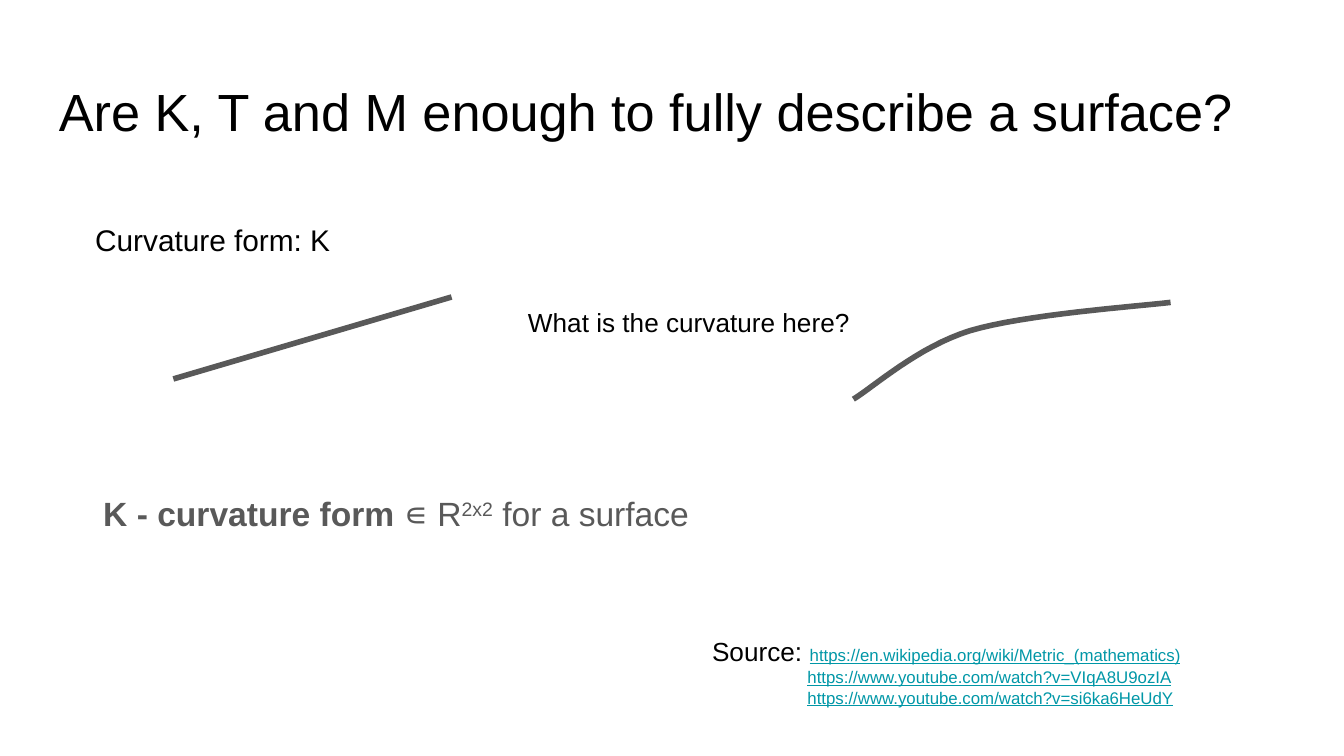
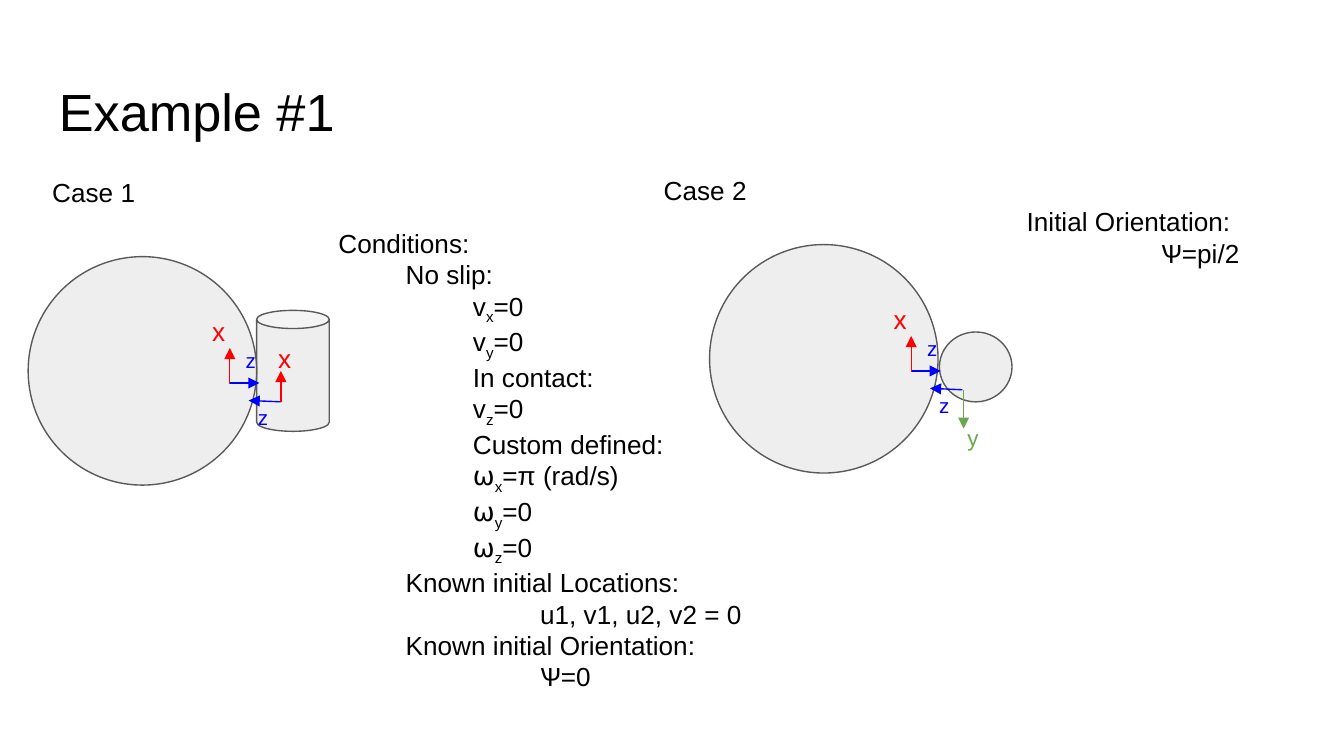
from lxml.etree import SubElement
from pptx import Presentation
from pptx.dml.color import RGBColor
from pptx.enum.shapes import MSO_CONNECTOR, MSO_SHAPE
from pptx.enum.text import MSO_ANCHOR
from pptx.oxml.ns import qn
from pptx.util import Pt

PX = 9144
SLIDE_WIDTH = 1000
FONT = "Arial"
INSET = 10
TAB = 50
CURVE_STEPS = 16
COLORS = {
    "black": "000000",
    "gray": "595959",
    "fill": "EEEEEE",
    "link": "0097A7",
    "red": "FF0000",
    "blue": "0000FF",
    "green": "6AA84F",
}

LINK = {"size": 9, "color": "link", "underline": True}
SOURCES = [
    (0, ["Source: ", ("https://en.wikipedia.org/wiki/Metric_(mathematics)", LINK)]),
    (71, [("https://www.youtube.com/watch?v=VIqA8U9ozIA", LINK)]),
    (71, [("https://www.youtube.com/watch?v=si6ka6HeUdY", LINK)]),
]
CURVATURE_FORM = [
    (0, [("K - curvature form ", {"bold": True}), "∊ R", ("2x2", {"baseline": 30}), " for a surface"]),
]
STRAIGHT = (129, 282, 336, 221)
CURVE_START = (635, 297)
CURVE = [
    ((650, 288), (683, 258), (722, 246)),
    ((762, 234), (846, 228), (871, 225)),
]


def component(symbol, axis, value):
    return [symbol, (axis, {"baseline": -25}), "=" + value]


CONDITIONS = [
    (0, ["Conditions:"]),
    (TAB, ["No slip:"]),
    (2 * TAB, component("v", "x", "0")),
    (2 * TAB, component("v", "y", "0")),
    (2 * TAB, ["In contact:"]),
    (2 * TAB, component("v", "z", "0")),
    (2 * TAB, ["Custom defined:"]),
    (2 * TAB, component("⍵", "x", "π (rad/s)")),
    (2 * TAB, component("⍵", "y", "0")),
    (2 * TAB, component("⍵", "z", "0")),
    (TAB, ["Known initial Locations:"]),
    (3 * TAB, ["u1, v1, u2, v2 = 0"]),
    (TAB, ["Known initial Orientation:"]),
    (3 * TAB, ["Ѱ=0"]),
]
ORIENTATION = [(TAB, ["Initial Orientation:"]), (3 * TAB, ["Ѱ=pi/2"])]

BALL = (21, 191, 170, 170)
FRAME_ARROWS = [
    ((171, 285, 193, 285), "blue"),
    ((171, 286, 171, 259), "red"),
    ((209, 299, 185, 298), "blue"),
]
FRAME_LABELS = [
    ("x", (148, 225, 31, 34), 14, "red"),
    ("z", (173, 250, 24, 34), 11, "blue"),
    ("z", (182, 292, 24, 34), 11, "blue"),
]
CASES = [
    {
        "title": ("Case 1", (29, 121, 376, 44)),
        "shift": (0, 0),
        "body": (MSO_SHAPE.CAN, (191, 231, 54, 90)),
        "arrow": ((209, 299, 209, 276), "red"),
        "label": ("x", (197, 245, 31, 34), 14, "red"),
    },
    {
        "title": ("Case 2", (484, 120, 376, 44)),
        "shift": (507, -9),
        "body": (MSO_SHAPE.OVAL, (699, 247, 54, 52)),
        "arrow": ((717, 290, 717, 319), "green"),
        "label": ("y", (710, 306, 31, 34), 12, "green"),
    },
]


def rgb(name):
    return RGBColor.from_string(COLORS[name])


def emu(values):
    return [v * PX for v in values]


def moved(box, shift):
    return (box[0] + shift[0], box[1] + shift[1], *box[2:])


def moved_line(ends, shift):
    return moved(ends[:2], shift) + moved(ends[2:], shift)


def add_text(s, content, box, size=14, color="black", spacing=None, top=INSET):
    tf = s.shapes.add_textbox(*emu(box)).text_frame
    tf.word_wrap = True
    tf.vertical_anchor = MSO_ANCHOR.TOP
    tf.margin_left = tf.margin_right = tf.margin_bottom = INSET * PX
    tf.margin_top = top * PX
    paragraphs = [(0, [content])] if isinstance(content, str) else content
    for i, (indent, runs) in enumerate(paragraphs):
        p = tf.paragraphs[0] if i == 0 else tf.add_paragraph()
        p._p.get_or_add_pPr().set("marL", str(indent * PX))
        if spacing:
            p.line_spacing = spacing
        for run in runs:
            text, fmt = (run, {}) if isinstance(run, str) else run
            r = p.add_run()
            r.text = text
            r.font.name = FONT
            r.font.size = Pt(fmt.get("size", size))
            r.font.color.rgb = rgb(fmt.get("color", color))
            r.font.bold = fmt.get("bold", False)
            r.font.underline = fmt.get("underline", False)
            if "baseline" in fmt:
                r._r.get_or_add_rPr().set("baseline", str(fmt["baseline"] * 1000))


def add_line(s, ends, color, width=0.75, arrow=True):
    c = s.shapes.add_connector(MSO_CONNECTOR.STRAIGHT, *emu(ends))
    c.line.color.rgb = rgb(color)
    c.line.width = Pt(width)
    if arrow:
        SubElement(c.line._get_or_add_ln(), qn("a:tailEnd"), type="triangle")
    SubElement(c._element.spPr, qn("a:effectLst"))


def add_body(s, kind, box):
    sp = s.shapes.add_shape(kind, *emu(box))
    sp.shadow.inherit = False
    sp.fill.solid()
    sp.fill.fore_color.rgb = rgb("fill")
    sp.line.color.rgb = rgb("gray")
    sp.line.width = Pt(0.75)


def bezier(a, b, c, d, t):
    u = 1 - t
    return tuple(
        round(PX * (u**3 * i + 3 * u * u * t * j + 3 * u * t * t * k + t**3 * m))
        for i, j, k, m in zip(a, b, c, d)
    )


def add_curve(s, start, segments):
    builder = s.shapes.build_freeform(*emu(start), scale=1.0)
    for b, c, d in segments:
        steps = range(1, CURVE_STEPS + 1)
        builder.add_line_segments([bezier(start, b, c, d, n / CURVE_STEPS) for n in steps], close=False)
        start = d
    sp = builder.convert_to_shape()
    sp.shadow.inherit = False
    sp.fill.background()
    sp.line.color.rgb = rgb("gray")
    sp.line.width = Pt(3)


def add_slide(prs, title):
    s = prs.slides.add_slide(prs.slide_layouts[6])
    add_text(s, title, (34, 49, 932, 63), size=28)
    return s


def build_curvature(prs):
    s = add_slide(prs, "Are K, T and M enough to fully describe a surface?")
    add_line(s, STRAIGHT, "gray", width=3, arrow=False)
    add_text(s, "What is the curvature here?", (383, 218, 321, 44))
    add_curve(s, CURVE_START, CURVE)
    add_text(s, SOURCES, (520, 463, 374, 89))
    add_text(s, "Curvature form: K", (61, 155, 302, 47), size=16)
    add_text(s, CURVATURE_FORM, (67, 352, 553, 55), size=18, color="gray", spacing=1.15)


def build_example(prs):
    s = add_slide(prs, "Example #1")
    add_text(s, CONDITIONS, (242, 159, 321, 305))
    add_text(s, ORIENTATION, (704, 119, 328, 120), top=34)
    for case in CASES:
        shift = case["shift"]
        add_text(s, *case["title"])
        add_body(s, *case["body"])
        add_body(s, MSO_SHAPE.OVAL, moved(BALL, shift))
        for ends, color in FRAME_ARROWS:
            add_line(s, moved_line(ends, shift), color)
        add_line(s, *case["arrow"])
        for text, box, size, color in FRAME_LABELS:
            add_text(s, text, moved(box, shift), size, color)
        add_text(s, *case["label"])


def main():
    prs = Presentation()
    prs.slide_width = SLIDE_WIDTH * PX
    prs.slide_height = prs.slide_width * 9 // 16
    build_curvature(prs)
    build_example(prs)
    prs.save("out.pptx")


if __name__ == "__main__":
    main()
